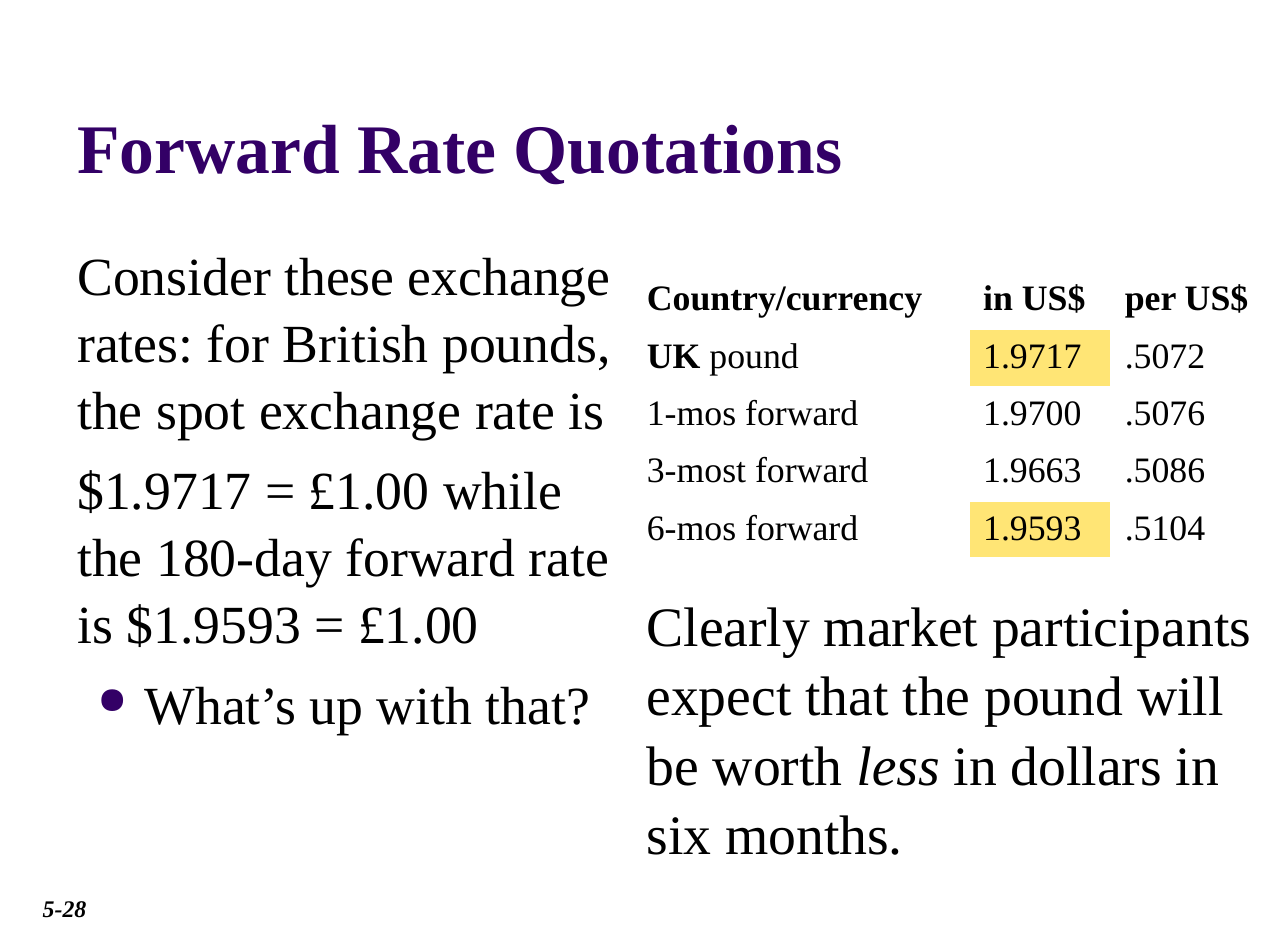
"""Build the forward rate quotations slide."""
from dataclasses import dataclass

import lxml.etree
import pptx
import pptx.dml.color
import pptx.enum.text
import pptx.oxml.ns
import pptx.util

Inches = pptx.util.Inches
Pt = pptx.util.Pt
ANCHOR = pptx.enum.text.MSO_ANCHOR


@dataclass(frozen=True)
class Theme:
    """Colours, type sizes and spacing of the slide."""
    font: str = "Times New Roman"
    ink: str = "000000"
    accent: str = "330066"
    highlight: str = "FFE575"
    title: float = 35
    body: float = 27
    aside: float = 28
    cell: float = 18
    number: float = 12
    leading: float = 1.04
    gap: float = 6.8


@dataclass(frozen=True)
class Box:
    """Position, size and insets of a text box in inches."""
    left: float
    top: float
    width: float
    height: float
    inset_x: float = 0.1
    inset_y: float = 0.05


@dataclass(frozen=True)
class Rate:
    """One table row: a bold lead, a label and two quotations."""
    lead: str
    label: str
    in_usd: str
    per_usd: str
    marked: bool = False


THEME = Theme()
COLUMNS = (2.35, 0.99, 1.09)
ROW_HEIGHT = 0.4
HEADER = ("Country/currency", "in US$", "per US$")
RATES = (
    Rate("UK ", "pound", "1.9717", ".5072", marked=True),
    Rate("", "1-mos forward", "1.9700", ".5076"),
    Rate("", "3-most forward", "1.9663", ".5086"),
    Rate("", "6-mos forward", "1.9593", ".5104", marked=True),
)
BODY = (
    "Consider these exchange rates: for British pounds, the spot exchange rate is",
    "$1.9717 = £1.00 while the 180-day forward rate is $1.9593 = £1.00",
    "What’s up with that?",
)


def rgb(value: str) -> pptx.dml.color.RGBColor:
    """Return a colour from its hex digits."""
    return pptx.dml.color.RGBColor.from_string(value)


def add_text(p, text: str, *, size: float, color: str = THEME.ink,
             bold: bool = False, italic: bool = False) -> None:
    """Append a formatted run to a paragraph."""
    r = p.add_run()
    r.text = text
    r.font.name = THEME.font
    r.font.size = Pt(size)
    r.font.bold = bold
    r.font.italic = italic
    r.font.color.rgb = rgb(color)


def add_box(s, box: Box, anchor=ANCHOR.TOP):
    """Add a wrapping text box and return its text frame."""
    sp = s.shapes.add_textbox(Inches(box.left), Inches(box.top),
                              Inches(box.width), Inches(box.height))
    tf = sp.text_frame
    tf.word_wrap = True
    tf.vertical_anchor = anchor
    tf.margin_left = tf.margin_right = Inches(box.inset_x)
    tf.margin_top = tf.margin_bottom = Inches(box.inset_y)
    return tf


def add_bullet(p) -> None:
    """Give a paragraph a round bullet with a hanging indent."""
    pPr = p._p.get_or_add_pPr()
    pPr.set("marL", str(Inches(0.47)))
    pPr.set("indent", str(Inches(-0.33)))
    qn = pptx.oxml.ns.qn
    color = lxml.etree.SubElement(pPr, qn("a:buClr"))
    lxml.etree.SubElement(color, qn("a:srgbClr"), val=THEME.accent)
    lxml.etree.SubElement(pPr, qn("a:buSzPct"), val="70000")
    lxml.etree.SubElement(pPr, qn("a:buChar"), char="●")


def add_body(s, box: Box) -> None:
    """Add the left column, whose last paragraph is bulleted."""
    tf = add_box(s, box)
    for i, text in enumerate(BODY):
        p = tf.add_paragraph() if i else tf.paragraphs[0]
        if i == len(BODY) - 1:
            add_bullet(p)
        p.line_spacing = THEME.leading
        if i:
            p.space_before = Pt(THEME.gap)
        add_text(p, text, size=THEME.body)


def add_rates(s, left: float, top: float) -> None:
    """Add the table of exchange rates."""
    rows = len(RATES) + 1
    table = s.shapes.add_table(rows, len(COLUMNS), Inches(left), Inches(top),
                               Inches(sum(COLUMNS)), Inches(rows * ROW_HEIGHT)).table
    table.first_row = table.horz_banding = False
    for column, width in zip(table.columns, COLUMNS):
        column.width = Inches(width)
    for row in table.rows:
        row.height = Inches(ROW_HEIGHT)
    for cell in table.iter_cells():
        cell.fill.background()
    for c, text in enumerate(HEADER):
        add_text(table.cell(0, c).text_frame.paragraphs[0], text, size=THEME.cell, bold=True)
    for i, rate in enumerate(RATES, start=1):
        cells = [table.cell(i, c) for c in range(len(COLUMNS))]
        if rate.lead:
            add_text(cells[0].text_frame.paragraphs[0], rate.lead, size=THEME.cell, bold=True)
        for cell, text in zip(cells, (rate.label, rate.in_usd, rate.per_usd)):
            add_text(cell.text_frame.paragraphs[0], text, size=THEME.cell)
        if rate.marked:
            cells[1].fill.solid()
            cells[1].fill.fore_color.rgb = rgb(THEME.highlight)


def main() -> None:
    """Build and save the slide."""
    prs = pptx.Presentation()
    prs.slide_width, prs.slide_height = Inches(9), Inches(6.5)
    s = prs.slides.add_slide(prs.slide_layouts[6])

    tf = add_box(s, Box(0.45, 0.12, 8.1, 1.23, 0.09, 0.04), ANCHOR.BOTTOM)
    add_text(tf.paragraphs[0], "Forward Rate Quotations", size=THEME.title,
             color=THEME.accent, bold=True)

    add_body(s, Box(0.45, 1.63, 4.06, 4.18, 0.09, 0.04))
    add_rates(s, 4.42, 1.9)

    p = add_box(s, Box(4.42, 4.06, 4.5, 1.97)).paragraphs[0]
    p.line_spacing = THEME.leading
    add_text(p, "Clearly market participants expect that the pound will be worth ",
             size=THEME.aside)
    add_text(p, "less", size=THEME.aside, italic=True)
    add_text(p, " in dollars in six months.", size=THEME.aside)

    tf = add_box(s, Box(0.2, 6.2, 0.58, 0.3))
    add_text(tf.paragraphs[0], "5-28", size=THEME.number, bold=True, italic=True)
    prs.save("out.pptx")


if __name__ == "__main__":
    main()
